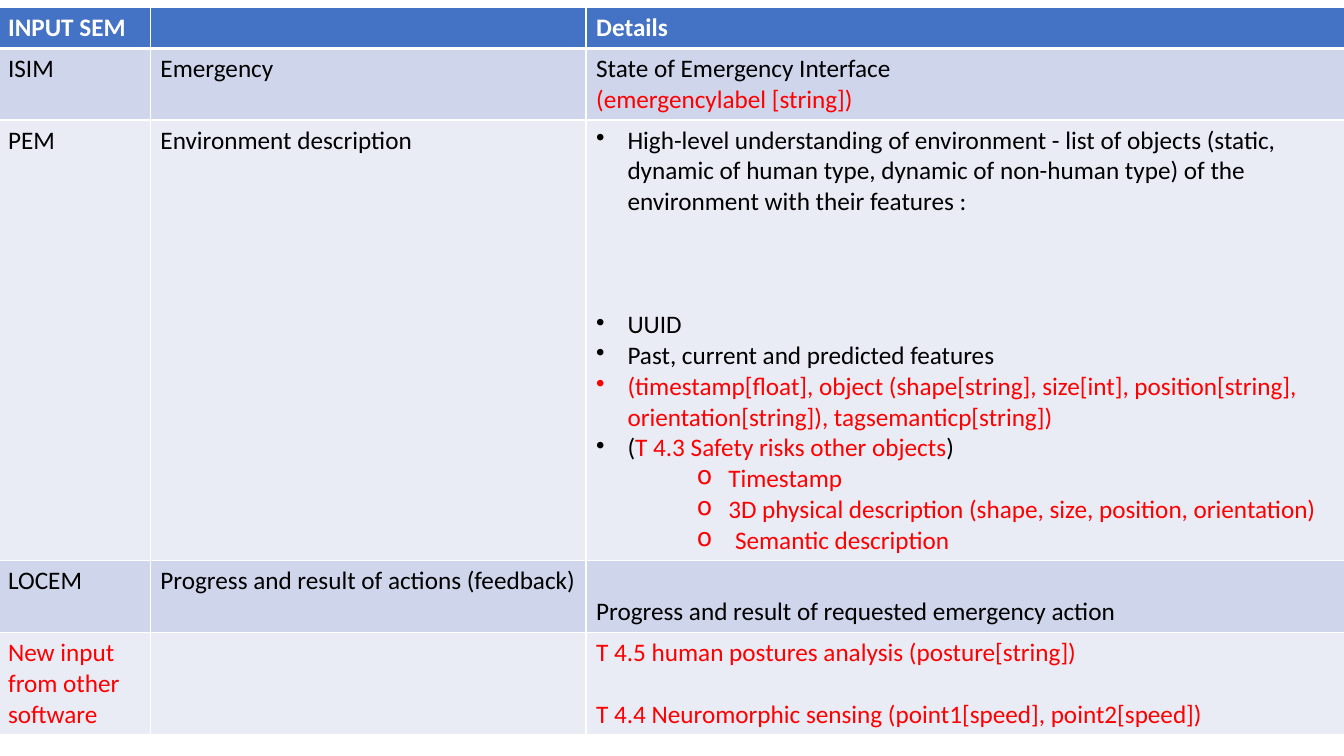
from dataclasses import dataclass

from lxml.etree import SubElement
from pptx import Presentation
from pptx.dml.color import RGBColor as RGB
from pptx.oxml import parse_xml
from pptx.oxml.ns import nsdecls, qn
from pptx.util import Cm, Pt


@dataclass(frozen=True)
class Theme:
    font: str = "Calibri"
    size: int = 18
    line: int = 22
    head: str = "4472C4"
    bands: tuple = ("CFD5EA", "E9EBF5")
    white: str = "FFFFFF"
    black: str = "000000"
    red: str = "FF0000"
    thin: int = 1
    thick: int = 3


@dataclass(frozen=True)
class Para:
    """One paragraph: runs of (text, colour), bullet, indents in cm, gap in lines."""
    runs: tuple
    mark: str = ""
    left: float = 0
    hang: float = 0
    gap: int = 0


THEME = Theme()
BLACK, RED, WHITE = THEME.black, THEME.red, THEME.white


def plain(text, color=BLACK, gap=0):
    return Para(((text, color),), gap=gap)


def dot(*runs, gap=0):
    return Para(runs, "•", 0.79, 0.79, gap)


def ring(text, extra=0):
    return Para(((text, RED),), "o", 3.33 + extra, 0.79 + extra)


COLS = (3.84, 10.98, 19.33)
ROWS = (1.04, 1.8, 11.1, 1.8, 2.58)
CELLS = (
    ([plain("INPUT SEM", WHITE)], [], [plain("Details", WHITE)]),
    ([plain("ISIM")], [plain("Emergency")],
     [plain("State of Emergency Interface"),
      plain("(emergencylabel [string])", RED)]),
    ([plain("PEM")], [plain("Environment description")],
     [dot(("High-level understanding of environment - list of objects "
           "(static, dynamic of human type, dynamic of non-human type) "
           "of the environment with their features :", BLACK)),
      dot(("UUID", BLACK), gap=3),
      dot(("Past, current and predicted features", BLACK)),
      dot(("(timestamp[float], object (shape[string], size[int], "
           "position[string], orientation[string]), "
           "tagsemanticp[string])", RED)),
      dot(("(", BLACK), ("T 4.3 Safety risks other objects", RED),
          (")", BLACK)),
      ring("Timestamp"),
      ring("3D physical description (shape, size, position, orientation)"),
      ring("Semantic description", 0.17)]),
    ([plain("LOCEM")], [plain("Progress and result of actions (feedback)")],
     [plain("Progress and result of requested emergency action", gap=1)]),
    ([plain("New input from other software", RED)], [],
     [plain("T 4.5 human postures analysis (posture[string])", RED),
      plain("T 4.4 Neuromorphic sensing (point1[speed], point2[speed])",
            RED, gap=1)]),
)


def write(par, para, bold):
    for text, color in para.runs:
        run = par.add_run()
        run.text = text
        font = run.font
        font.name, font.size, font.bold = THEME.font, Pt(THEME.size), bold
        font.color.rgb = RGB.from_string(color)
    if para.mark:
        props = par._p.get_or_add_pPr()
        props.set("marL", str(Cm(para.left)))
        props.set("indent", str(-Cm(para.hang)))
        SubElement(props, qn("a:buChar")).set("char", para.mark)


def edge(cell, top, base):
    """Draw white borders round a cell, with top and base widths in points."""
    props = cell._tc.get_or_add_tcPr()
    sides = (("L", THEME.thin), ("R", THEME.thin), ("T", top), ("B", base))
    for spot, (side, width) in enumerate(sides):
        props.insert(spot, parse_xml(
            f'<a:ln{side} {nsdecls("a")} w="{Pt(width)}"><a:solidFill>'
            f'<a:srgbClr val="{WHITE}"/></a:solidFill></a:ln{side}>'))


def fill_cell(cell, paras, row):
    color = THEME.bands[(row - 1) % 2] if row else THEME.head
    cell.fill.solid()
    cell.fill.fore_color.rgb = RGB.from_string(color)
    edge(cell, THEME.thick if row == 1 else THEME.thin,
         THEME.thin if row else THEME.thick)
    frame = cell.text_frame
    for spot, para in enumerate(paras):
        par = frame.add_paragraph() if spot else frame.paragraphs[0]
        write(par, para, row == 0)
        gap = Pt(para.gap * THEME.line)
        if gap and spot:
            par.space_before = gap
        elif gap:
            cell.margin_top += gap


def add_grid(slide, left, top):
    grid = slide.shapes.add_table(
        len(ROWS), len(COLS), Cm(left), Cm(top),
        Cm(sum(COLS)), Cm(sum(ROWS))).table
    for col, width in zip(grid.columns, COLS):
        col.width = Cm(width)
    for row, (line, height) in enumerate(zip(CELLS, ROWS)):
        grid.rows[row].height = Cm(height)
        for col, paras in enumerate(line):
            fill_cell(grid.cell(row, col), paras, row)


def main():
    deck = Presentation()
    deck.slide_width, deck.slide_height = Cm(33.87), Cm(19.05)
    slide = deck.slides.add_slide(deck.slide_layouts[6])
    add_grid(slide, -0.05, 0.18)
    deck.save("out.pptx")


if __name__ == "__main__":
    main()
